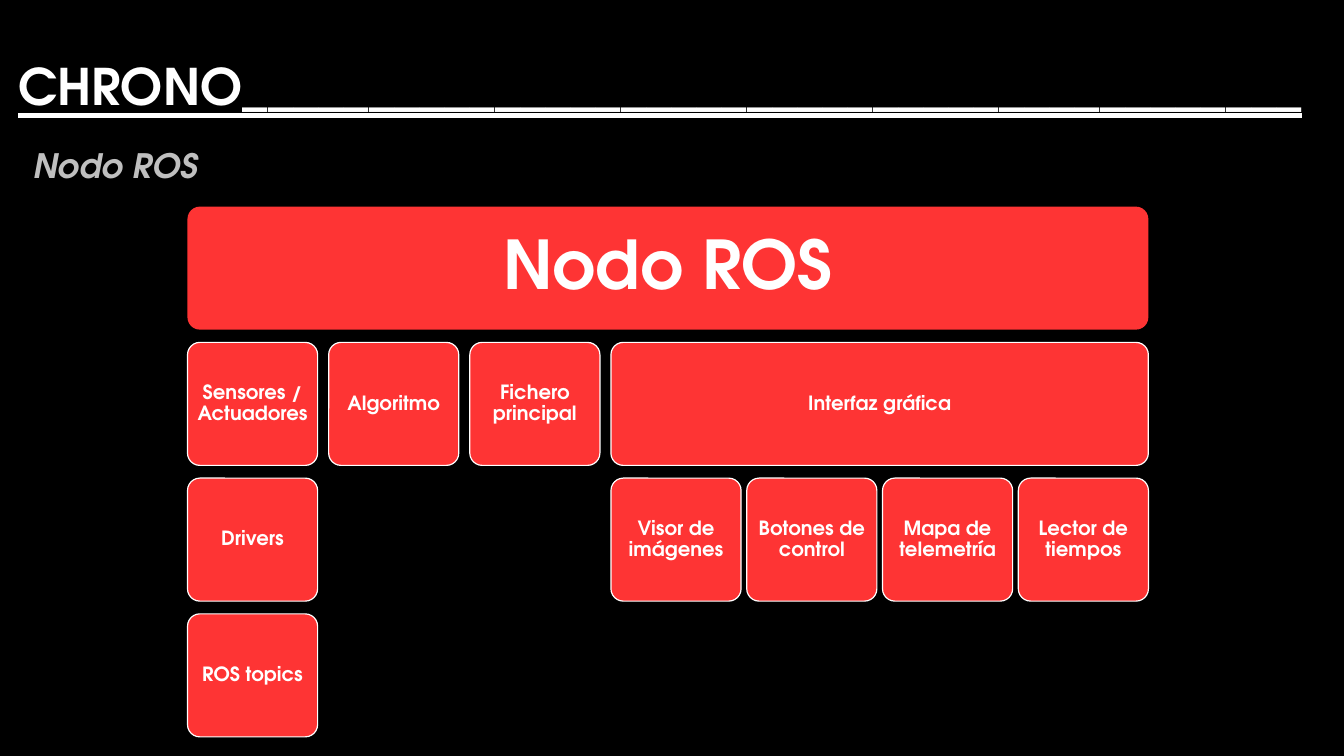
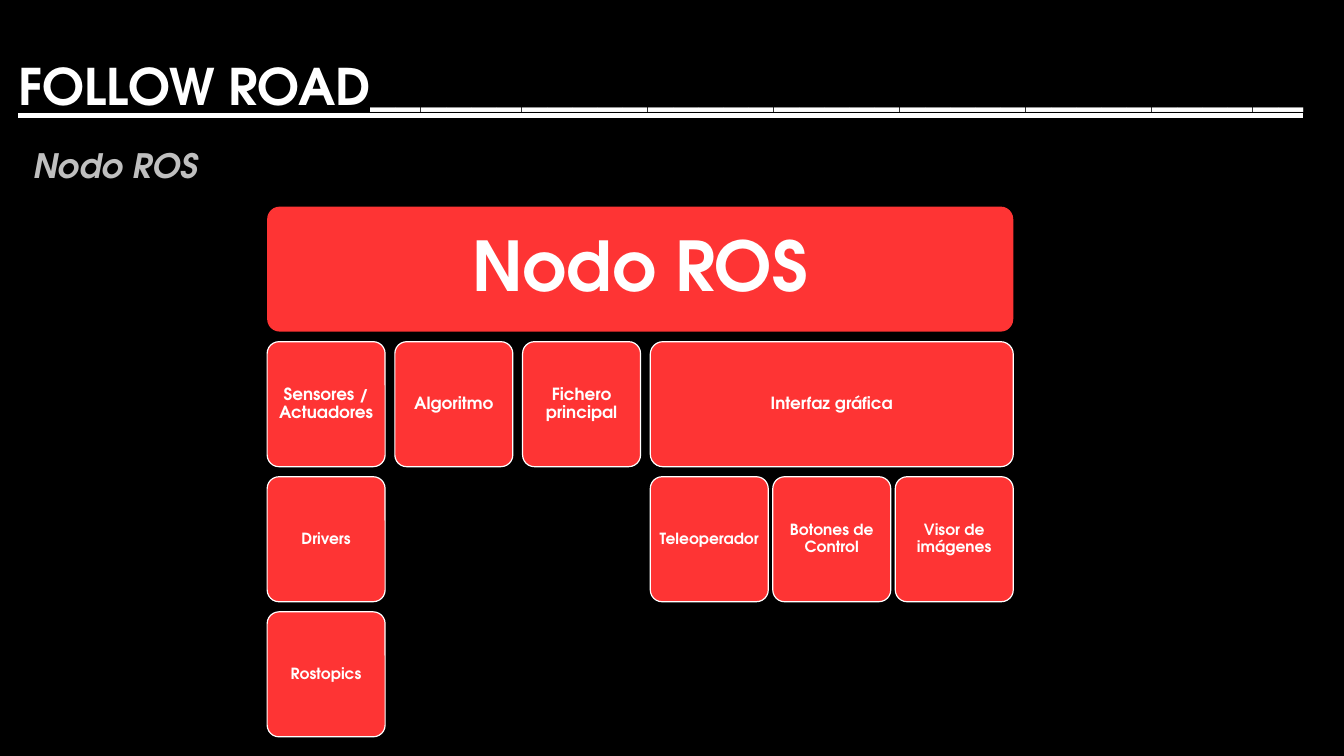
from pptx import Presentation, util as u
from pptx.dml.color import RGBColor
from pptx.enum import shapes, text

FONT = "TeX Gyre Adventor"
BLACK, WHITE, GREY, RED = "000000", "FFFFFF", "BFBFBF", "FE3434"
ROWS_TOP, ROWS_BOTTOM, ROW_COUNT = 2.05, 7.31, 4

DIAGRAMS = [
    {"title": "CHRONO" + "_" * 42, "left": 1.86, "right": 11.39, "interface_left": 6.06,
     "box": (1.29, 1.22), "inset": 0.06, "sizes": (48, 14, 14),
     "drivers": ["Drivers", "ROS topics"],
     "widgets": ["Visor de imágenes", "Botones de control",
                 "Mapa de telemetría", "Lector de tiempos"]},
    {"title": "FOLLOW ROAD" + "_" * 37, "left": 2.65, "right": 10.05, "interface_left": 6.45,
     "box": (1.17, 1.24), "inset": 0.05, "sizes": (49, 12, 11),
     "drivers": ["Drivers", "Rostopics"],
     "widgets": ["Teleoperador", "Botones de Control", "Visor de imágenes"]},
]


def rgb(value):
    return RGBColor.from_string(value)


def write(shape, wording, color, insets, frame_format, paragraph_format, font_format):
    """Fill a shape with one paragraph; insets are (horizontal, vertical) in inches."""
    frame = shape.text_frame
    frame.text = wording
    paragraph = frame.paragraphs[0]
    across, down = map(u.Inches, insets)
    margins = {"margin_left": across, "margin_right": across,
               "margin_top": down, "margin_bottom": down}
    for target, values in ((frame, {**margins, **frame_format}),
                           (paragraph, paragraph_format),
                           (paragraph.font, {"name": FONT, "bold": True, **font_format})):
        for name, value in values.items():
            setattr(target, name, value)
    paragraph.font.color.rgb = rgb(color)


prs = Presentation()
prs.slide_width, prs.slide_height = u.Inches(13.33), u.Inches(7.5)
background = prs.slide_master.background.fill
background.solid()
background.fore_color.rgb = rgb(BLACK)

for diagram in DIAGRAMS:
    slide = prs.slides.add_slide(prs.slide_layouts[5])

    title = slide.shapes.title
    title.left, title.top, title.width, title.height = map(u.Inches, (0.05, 0.44, 13.15, 0.79))
    write(title, diagram["title"], WHITE, (0.13, 0.07),
          {"vertical_anchor": text.MSO_ANCHOR.BOTTOM, "word_wrap": True,
           "auto_size": text.MSO_AUTO_SIZE.NONE},
          {"alignment": text.PP_ALIGN.LEFT, "line_spacing": 0.9},
          {"size": u.Pt(36), "underline": True})

    subtitle = slide.shapes.add_textbox(*map(u.Inches, (0.23, 1.39, 1.85, 0.5)))
    write(subtitle, "Nodo ROS", GREY, (0.1, 0.05),
          {"vertical_anchor": text.MSO_ANCHOR.MIDDLE, "word_wrap": False,
           "auto_size": text.MSO_AUTO_SIZE.SHAPE_TO_FIT_TEXT},
          {}, {"size": u.Pt(24), "italic": True})

    left, right, interface_left = (diagram[k] for k in ("left", "right", "interface_left"))
    box_width, box_height = diagram["box"]
    widgets = diagram["widgets"]
    row_step = (ROWS_BOTTOM - box_height - ROWS_TOP) / (ROW_COUNT - 1)
    column_step = (interface_left - left) / 3
    widget_step = (right - box_width - interface_left) / (len(widgets) - 1)

    # Each node: wording, left, row, width
    nodes = [("Nodo ROS", left, 0, right - left)]
    nodes += [(name, left + i * column_step, 1, box_width)
              for i, name in enumerate(["Sensores / Actuadores", "Algoritmo", "Fichero principal"])]
    nodes.append(("Interfaz gráfica", interface_left, 1, right - interface_left))
    nodes += [(name, left, row, box_width) for row, name in enumerate(diagram["drivers"], 2)]
    nodes += [(name, interface_left + i * widget_step, 2, box_width)
              for i, name in enumerate(widgets)]

    for wording, x, row, width in nodes:
        node = slide.shapes.add_shape(
            shapes.MSO_SHAPE.ROUNDED_RECTANGLE,
            *map(u.Inches, (x, ROWS_TOP + row * row_step, width, box_height)))
        node.adjustments[0] = 0.1
        node.shadow.inherit = False
        node.fill.solid()
        node.fill.fore_color.rgb = rgb(RED)
        if row == 0:
            node.line.fill.background()
        else:
            node.line.color.rgb = rgb(WHITE)
            node.line.width = u.Pt(0.85)
        inset = diagram["inset"] if row else 0.2
        write(node, wording, WHITE, (inset, inset),
              {"vertical_anchor": text.MSO_ANCHOR.MIDDLE, "word_wrap": True},
              {"alignment": text.PP_ALIGN.CENTER, "line_spacing": 0.9},
              {"size": u.Pt(diagram["sizes"][min(row, 2)])})

prs.save("out.pptx")
